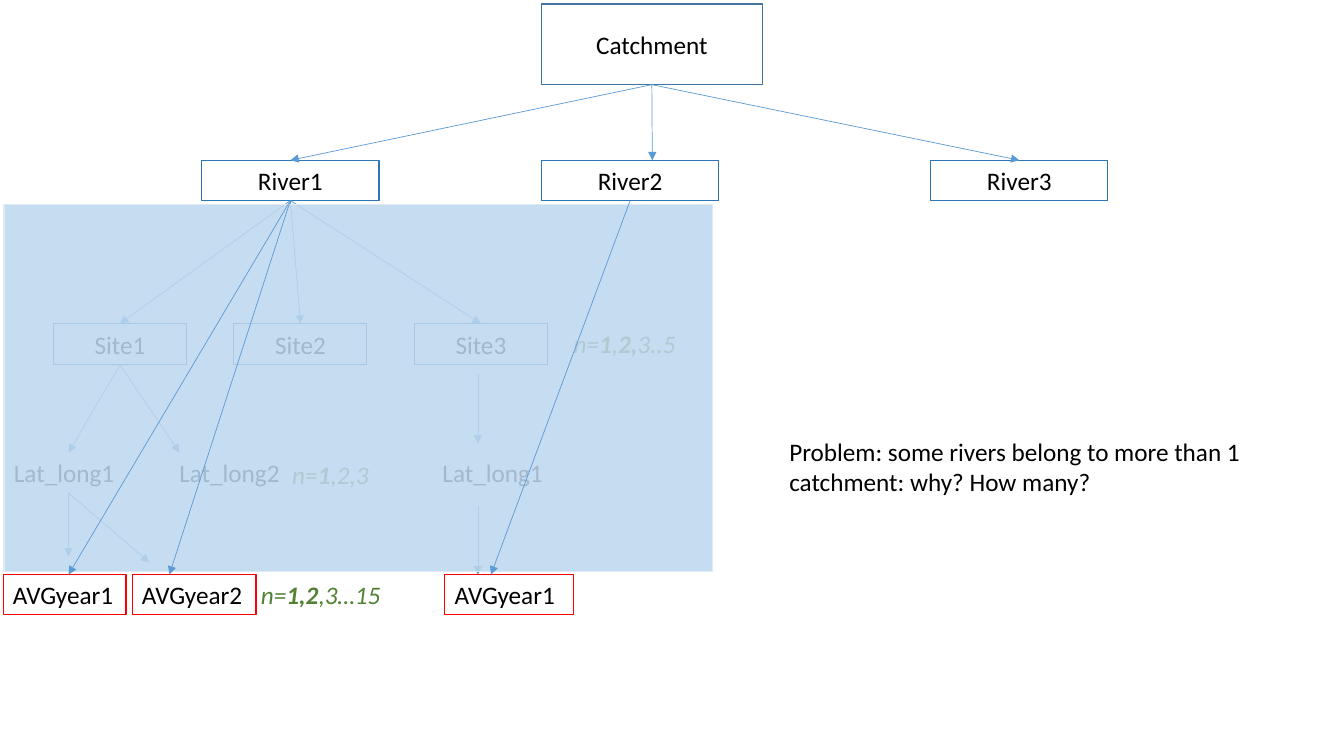
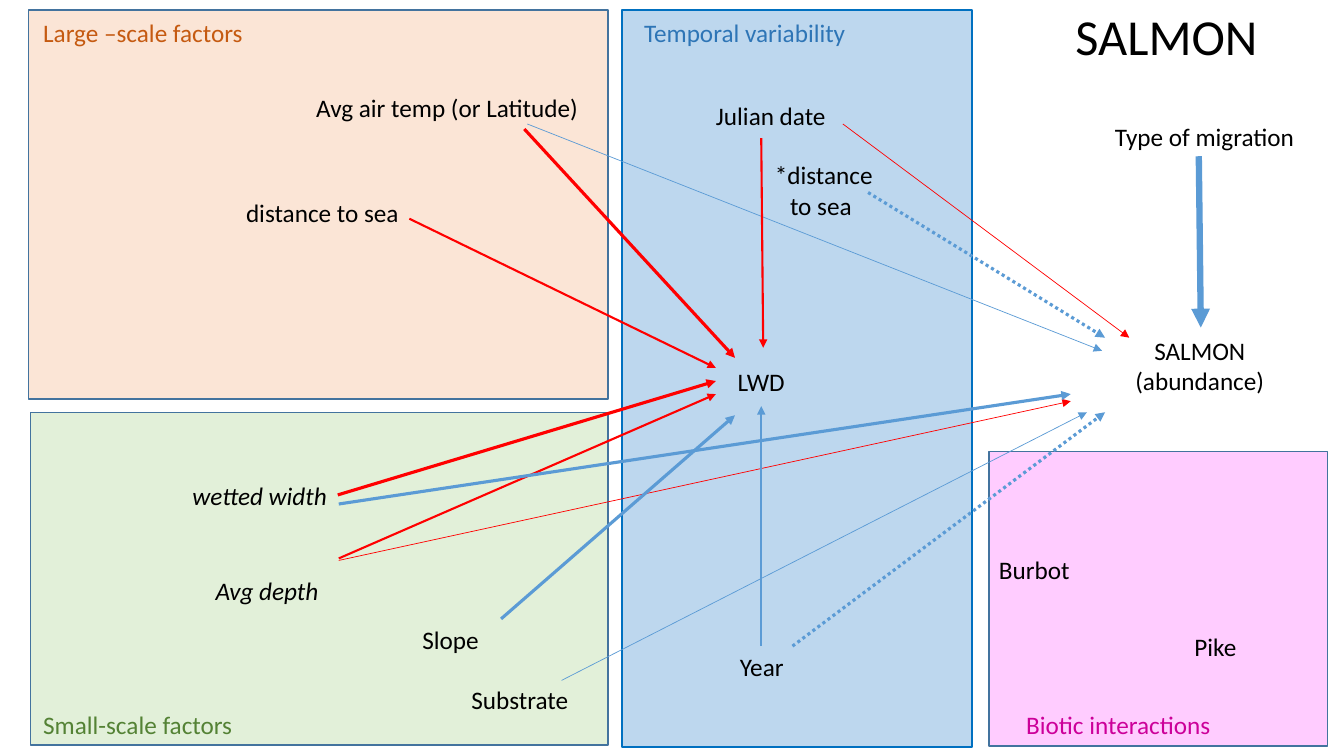
from dataclasses import dataclass

from lxml import etree
from pptx import Presentation
from pptx.dml.color import RGBColor
from pptx.enum.dml import MSO_LINE
from pptx.enum.shapes import MSO_CONNECTOR, MSO_SHAPE
from pptx.enum.text import MSO_ANCHOR, PP_ALIGN
from pptx.oxml.ns import qn
from pptx.util import Emu, Pt

PX = 9144
RECT = MSO_SHAPE.RECTANGLE
STRAIGHT = MSO_CONNECTOR.STRAIGHT
DOTTED = MSO_LINE.ROUND_DOT
MIDDLE = MSO_ANCHOR.MIDDLE
LEFT = PP_ALIGN.LEFT
CENTER = PP_ALIGN.CENTER
TOP_SITE, BOTTOM_SITE = 0, 2

FONT = "Calibri"
BLACK = "000000"
RED = "FF0000"
BLUE = "5B9BD5"
DEEP_BLUE = "2E75B6"
STEEL = "43739E"
PALE_BLUE = "BDD7EE"
GREEN = "548235"

Area = tuple[int, int, int, int]
Point = tuple[int, int]


@dataclass
class Label:
    text: str
    at: Area
    align: PP_ALIGN = CENTER
    color: str = BLACK
    italic: bool = False
    size: int = 18


@dataclass
class Panel:
    at: Area
    fill: str | None = None
    line: str = STEEL
    width: float = 1
    alpha: int = 100


@dataclass
class Box:
    label: Label
    line: str = DEEP_BLUE
    width: float = 0.75


@dataclass
class Arrow:
    start: Point | str
    end: Point | str
    color: str = BLUE
    width: float = 0.5
    dotted: bool = False


def rgb(color: str) -> RGBColor:
    return RGBColor.from_string(color)


def emu(values: tuple[int, ...]) -> list[Emu]:
    return [Emu(v * PX) for v in values]


def write(sp, label: Label) -> None:
    tf = sp.text_frame
    tf.word_wrap = True
    tf.vertical_anchor = MIDDLE
    for i, line in enumerate(label.text.split("\n")):
        p = tf.add_paragraph() if i else tf.paragraphs[0]
        p.alignment = label.align
        for j, part in enumerate(line.split("|")):
            r = p.add_run()
            r.text = part
            r.font.name = FONT
            r.font.size = Pt(label.size)
            r.font.bold = j % 2 == 1
            r.font.italic = label.italic
            r.font.color.rgb = rgb(label.color)


def add_label(s, label: Label) -> None:
    write(s.shapes.add_textbox(*emu(label.at)), label)


def add_panel(s, panel: Panel):
    sp = s.shapes.add_shape(RECT, *emu(panel.at))
    sp.shadow.inherit = False
    sp.line.color.rgb = rgb(panel.line)
    sp.line.width = Pt(panel.width)
    if panel.fill is None:
        sp.fill.background()
    else:
        sp.fill.solid()
        sp.fill.fore_color.rgb = rgb(panel.fill)
    if panel.alpha < 100:
        clr = sp.element.spPr.find(qn("a:solidFill"))[0]
        etree.SubElement(clr, qn("a:alpha")).set("val", str(panel.alpha * 1000))
    return sp


def add_box(s, box: Box):
    sp = add_panel(s, Panel(box.label.at, None, box.line, box.width))
    write(sp, box.label)
    return sp


def add_arrow(s, arrow: Arrow, boxes: dict) -> None:
    start = (0, 0) if isinstance(arrow.start, str) else arrow.start
    end = (0, 0) if isinstance(arrow.end, str) else arrow.end
    cxn = s.shapes.add_connector(STRAIGHT, *emu(start + end))
    if isinstance(arrow.start, str):
        cxn.begin_connect(boxes[arrow.start], BOTTOM_SITE)
    if isinstance(arrow.end, str):
        cxn.end_connect(boxes[arrow.end], TOP_SITE)
    cxn.line.color.rgb = rgb(arrow.color)
    cxn.line.width = Pt(arrow.width)
    if arrow.dotted:
        cxn.line.dash_style = DOTTED
    sp_pr = cxn.element.spPr
    etree.SubElement(sp_pr.find(qn("a:ln")), qn("a:tailEnd")).set("type", "triangle")
    etree.SubElement(sp_pr, qn("a:effectLst"))


def build_hierarchy(s) -> None:
    nodes = [Box(Label("Catchment", (537, 4, 219, 80)), STEEL, 1)]
    for i, x in enumerate((200, 537, 923), 1):
        nodes.append(Box(Label(f"River{i}", (x, 159, 176, 40))))
    for i in range(3):
        nodes.append(Box(Label(f"Site{i + 1}", (53 + 179 * i, 321, 132, 41))))
    boxes = {node.label.text: add_box(s, node) for node in nodes}

    for text, x, w in (("AVGyear1", 3, 122), ("AVGyear2", 131, 123),
                       ("AVGyear1", 441, 128)):
        add_box(s, Box(Label(text, (x, 570, w, 40), LEFT), RED))
    for text, x in (("Lat_long1", 4), ("Lat_long2", 168), ("Lat_long1", 429)):
        add_label(s, Label(text, (x, 449, 130, 40), LEFT))
    for text, x, y in (("n=|1|,|2,|3..5", 559, 321), ("n=|1,2|,3…15", 249, 570),
                       ("n=|1|,2,3", 280, 451)):
        add_label(s, Label(text, (x, y, 144, 40), LEFT, GREEN, True))

    for arrow in (
        Arrow("Site1", (68, 449)),
        Arrow("Site1", (178, 449)),
        Arrow((68, 489), (68, 552)),
        Arrow((68, 489), (148, 558)),
        Arrow((474, 502), (474, 570)),
        Arrow((474, 371), (474, 440)),
        Arrow("River1", "Site1"),
        Arrow("River1", "Site2"),
        Arrow("River1", "Site3"),
        Arrow("Catchment", "River1"),
        Arrow("Catchment", (647, 159)),
        Arrow("Catchment", "River3"),
    ):
        add_arrow(s, arrow, boxes)

    add_panel(s, Panel((4, 203, 703, 364), PALE_BLUE, "DEEBF7", alpha=86))
    for river, x in (("River1", 68), ("River1", 168), ("River2", 487)):
        add_arrow(s, Arrow(river, (x, 570)), boxes)
    add_label(s, Label("Problem: some rivers belong to more than 1 catchment: why? How many?",
                       (773, 427, 546, 71), LEFT))


def build_factors(s) -> None:
    for panel in (
        Panel((981, 448, 336, 292), "FFCCFF"),
        Panel((617, 10, 347, 731), PALE_BLUE, "0070C0"),
        Panel((30, 409, 573, 330), "E2F0D9"),
        Panel((28, 10, 575, 386), "FBE5D6"),
    ):
        add_panel(s, panel)

    for text, x, y, color in (
        ("Large –scale factors", 33, 12, "C55A11"),
        ("Small-scale factors", 33, 699, GREEN),
        ("Temporal variability", 629, 12, DEEP_BLUE),
        ("Biotic interactions", 1008, 699, "CC0099"),
    ):
        add_label(s, Label(text, (x, y, 247, 40), LEFT, color))

    for label in (
        Label("SALMON", (981, 0, 352, 71), size=36),
        Label("LWD", (698, 358, 114, 40)),
        Label("SALMON\n(abundance)", (1062, 327, 256, 71)),
        Label("Avg air temp (or Latitude)", (296, 87, 295, 40)),
        Label("distance to sea ", (175, 191, 295, 40)),
        Label("wetted width", (97, 472, 321, 40), italic=True),
        Label("Avg depth", (204, 566, 185, 40), LEFT, italic=True),
        Label("Slope", (409, 614, 177, 40), LEFT),
        Label("Substrate", (455, 674, 121, 40)),
        Label("Julian date", (565, 95, 399, 40)),
        Label("*distance to sea ", (747, 138, 140, 101)),
        Label("Year", (597, 641, 317, 40)),
        Label("Type of migration", (1096, 115, 237, 40), LEFT),
        Label("Burbot", (981, 545, 154, 40), LEFT),
        Label("Pike", (1078, 621, 255, 40)),
    ):
        add_label(s, label)

    for arrow in (
        Arrow((336, 556), (1062, 398), RED),
        Arrow((336, 554), (710, 391), RED, 1.5),
        Arrow((335, 491), (710, 378), RED, 2.25),
        Arrow((336, 500), (1062, 391), BLUE, 2.25),
        Arrow((836, 123), (1120, 335), RED),
        Arrow((523, 123), (1093, 348)),
        Arrow((557, 675), (1078, 409)),
        Arrow((520, 128), (729, 355), RED, 2.25),
        Arrow((755, 641), (755, 403), BLUE, 1.5),
        Arrow((406, 217), (710, 365), RED, 1.5),
        Arrow((755, 137), (757, 345), RED, 1.5),
        Arrow((497, 614), (729, 412), BLUE, 2.25),
        Arrow((1189, 155), (1191, 325), BLUE, 4.5),
        Arrow((786, 641), (1096, 409), BLUE, 2.25, True),
        Arrow((861, 191), (1096, 335), BLUE, 2.25, True),
    ):
        add_arrow(s, arrow, {})


def main() -> None:
    prs = Presentation()
    prs.slide_width, prs.slide_height = emu((1333, 750))
    for build in (build_hierarchy, build_factors):
        build(prs.slides.add_slide(prs.slide_layouts[6]))
    prs.save("out.pptx")


if __name__ == "__main__":
    main()
